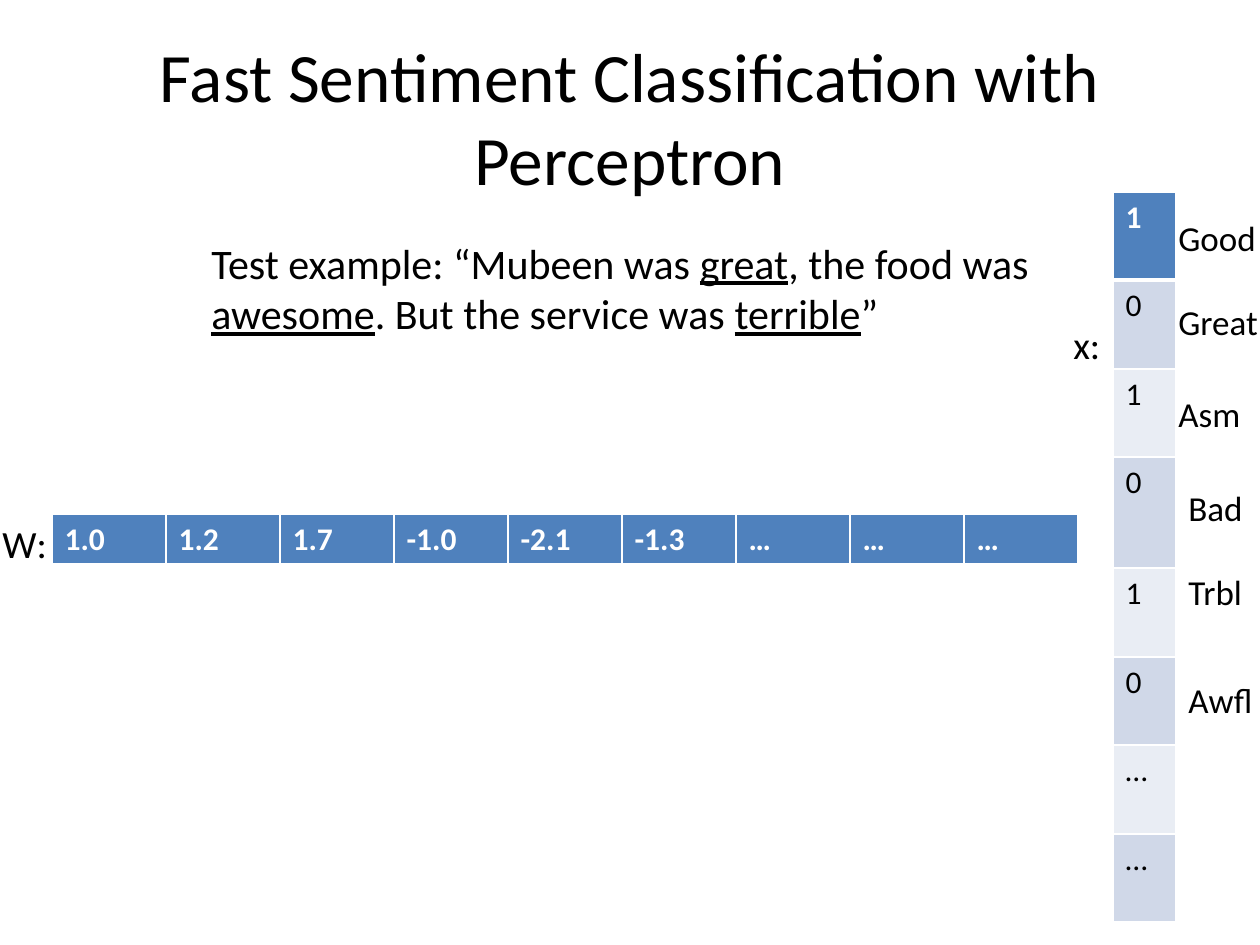
import pptx
import pptx.dml.color
import pptx.enum.text
import pptx.oxml
import pptx.oxml.ns
import pptx.util

PX = 914400 / 126  # EMU in one pixel
BLACK = pptx.dml.color.RGBColor(0x00, 0x00, 0x00)
WHITE = pptx.dml.color.RGBColor(0xFF, 0xFF, 0xFF)
BLUE = pptx.dml.color.RGBColor(0x4F, 0x81, 0xBD)
BAND_DARK = pptx.dml.color.RGBColor(0xD0, 0xD8, 0xE8)
BAND_LIGHT = pptx.dml.color.RGBColor(0xE9, 0xED, 0xF4)

presentation = pptx.Presentation()
presentation.slide_width = round(1260 * PX)
presentation.slide_height = round(945 * PX)
slide = presentation.slides.add_slide(presentation.slide_layouts[6])


def write(paragraph, pieces, size, color=BLACK, bold=False):
    """Add runs; every second piece is underlined."""
    for index, piece in enumerate(pieces):
        run = paragraph.add_run()
        run.text = piece
        values = {"name": "Calibri", "size": pptx.util.Pt(size), "bold": bold,
                  "underline": index % 2 == 1}
        for name, value in values.items():
            setattr(run.font, name, value)
        run.font.color.rgb = color


def add_grid(left, top, widths, heights, texts):
    """Add a table whose first row is a header above banded rows."""
    box = [round(n * PX) for n in (left, top, sum(widths), sum(heights))]
    table = slide.shapes.add_table(len(heights), len(widths), *box).table
    for column, width in zip(table.columns, widths):
        column.width = round(width * PX)
    for row_index, height in enumerate(heights):
        table.rows[row_index].height = round(height * PX)
        header = row_index == 0
        band = BAND_DARK if row_index % 2 else BAND_LIGHT
        for column_index in range(len(widths)):
            cell = table.cell(row_index, column_index)
            properties = cell._tc.get_or_add_tcPr()
            for side in "LRTB":
                points = 3 if header and side == "B" else 1
                properties.append(pptx.oxml.parse_xml(
                    f'<a:ln{side} {pptx.oxml.ns.nsdecls("a")} w="{points * 12700}">'
                    f'<a:solidFill><a:srgbClr val="{WHITE}"/></a:solidFill></a:ln{side}>'))
            cell.fill.solid()
            cell.fill.fore_color.rgb = BLUE if header else band
            text = texts[row_index * len(widths) + column_index]
            write(cell.text_frame.paragraphs[0], [text], 18,
                  WHITE if header else BLACK, header)


# Title, test sentence and labels: left, top, width, height, size, pieces
text_boxes = [
    (63, 38, 1134, 157, 39.6, ["Fast Sentiment Classification with Perceptron"]),
    (199, 231, 892, 115, 24, ["Test example: “Mubeen was ", "great", ", the food was ",
                              "awesome", ". But the service was ", "terrible", "”"]),
    (1061, 315, 63, 59, 22, ["x:"]),
    (-10, 514, 73, 59, 22, ["W:"]),
    (1166, 210, 105, 55, 20, ["Good"]),
    (1166, 294, 126, 55, 20, ["Great"]),
    (1166, 386, 94, 55, 20, ["Asm"]),
    (1176, 480, 89, 55, 20, ["Bad"]),
    (1176, 564, 147, 55, 20, ["Trbl"]),
    (1176, 672, 126, 55, 20, ["Awfl"]),
]
for index, (left, top, width, height, size, pieces) in enumerate(text_boxes):
    box = [round(n * PX) for n in (left, top, width, height)]
    frame = slide.shapes.add_textbox(*box).text_frame
    frame.word_wrap = True
    if index == 0:
        frame.vertical_anchor = pptx.enum.text.MSO_ANCHOR.MIDDLE
        frame.paragraphs[0].alignment = pptx.enum.text.PP_ALIGN.CENTER
    write(frame.paragraphs[0], pieces, size)

# Weight vector
weights = ["1.0", "1.2", "1.7", "-1.0", "-2.1", "-1.3", "…", "…", "…"]
add_grid(52, 514, [round(1029 / 9)] * 9, [51], weights)

# Feature vector
features = ["1", "0", "1", "0", "1", "0", "…", "…"]
add_grid(1113, 192, [63], [88, 89, 88, 111, 89, 88, 89, 88], features)

presentation.save("out.pptx")
